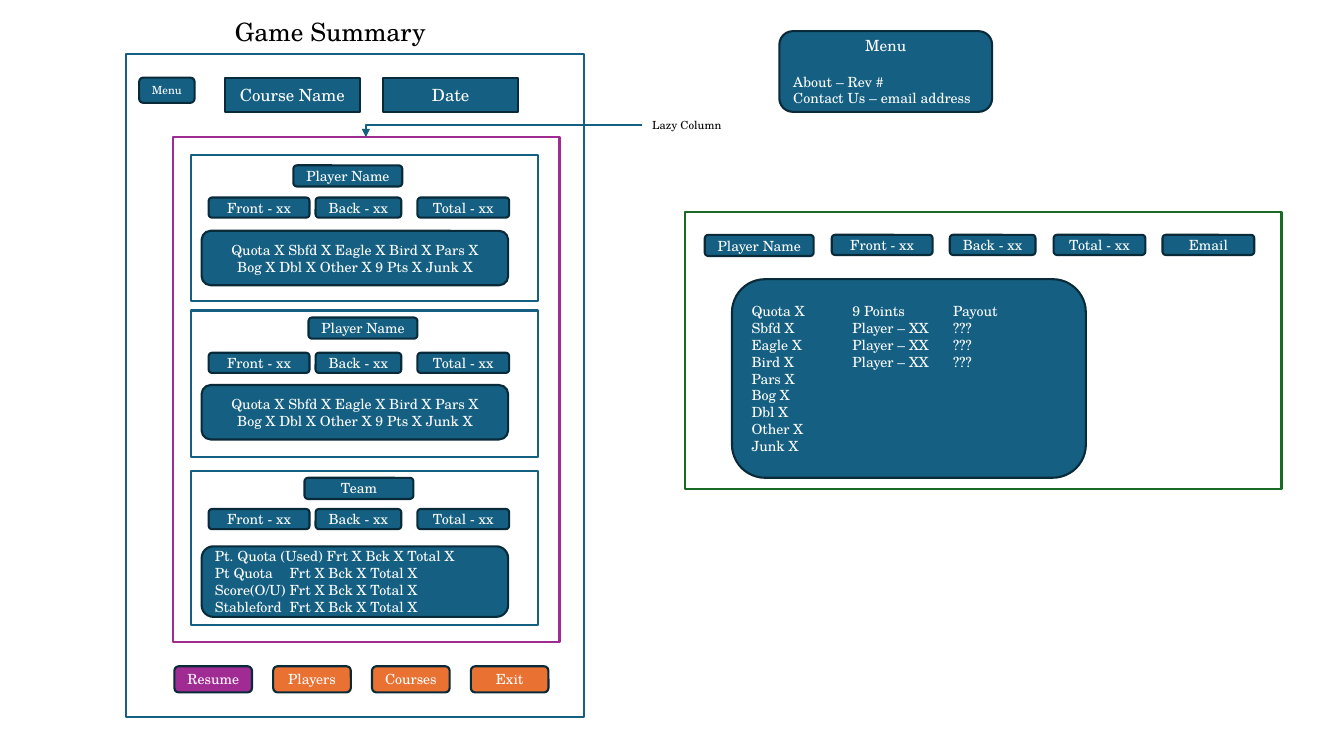
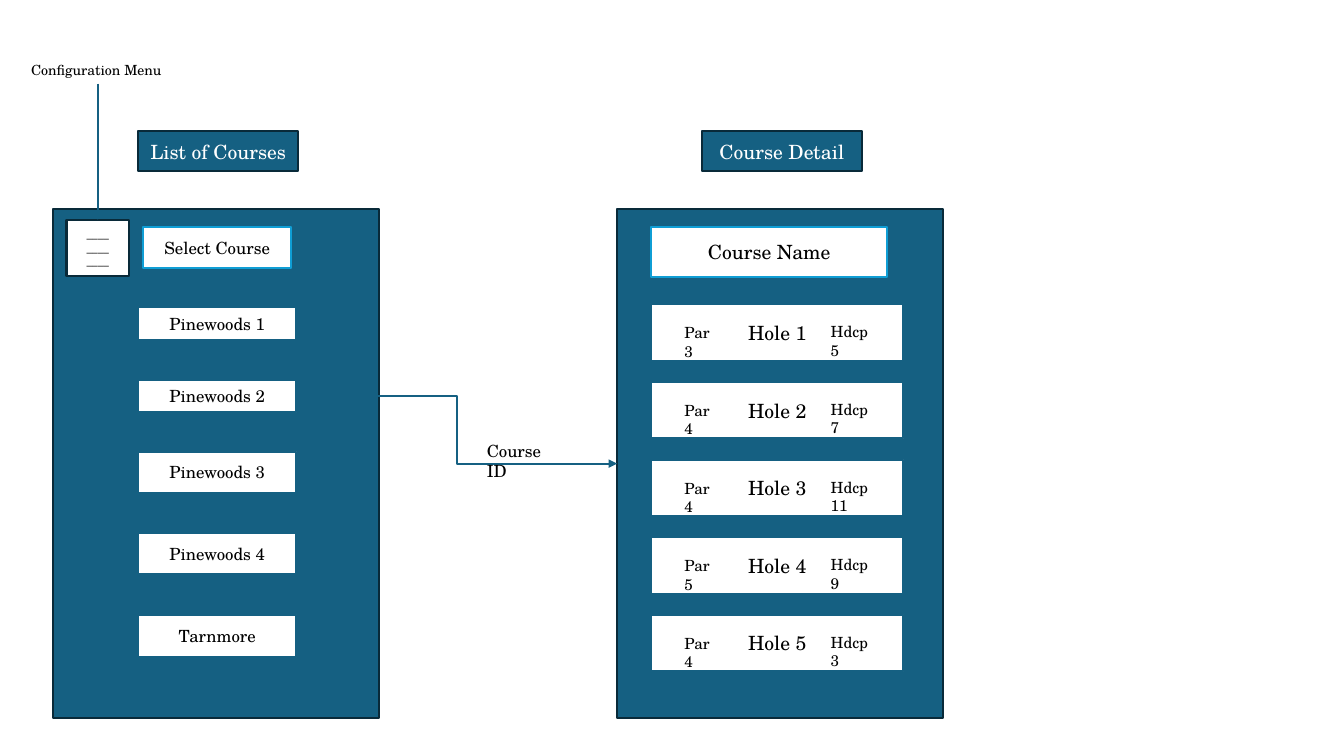
import pptx
import pptx.dml.color
import pptx.enum.shapes
import pptx.enum.text
import pptx.oxml.ns
import pptx.oxml.xmlchemy
import pptx.util
from lxml import etree

Inches = pptx.util.Inches
Pt = pptx.util.Pt
RGBColor = pptx.dml.color.RGBColor
SHAPE = pptx.enum.shapes.MSO_SHAPE
CONNECTOR = pptx.enum.shapes.MSO_CONNECTOR
ALIGN = pptx.enum.text.PP_ALIGN
ANCHOR = pptx.enum.text.MSO_ANCHOR
qn = pptx.oxml.ns.qn

FONT = "TeX Gyre Schola"
TEAL = RGBColor(0x15, 0x60, 0x82)
DARK_TEAL = RGBColor(0x09, 0x2A, 0x39)
SKY = RGBColor(0x0F, 0x9E, 0xD5)
PURPLE = RGBColor(0xA0, 0x2B, 0x93)
ORANGE = RGBColor(0xE9, 0x71, 0x32)
GREEN = RGBColor(0x19, 0x6B, 0x24)
WHITE = RGBColor(0xFF, 0xFF, 0xFF)
BLACK = RGBColor(0x00, 0x00, 0x00)
LINE_WIDTH = Pt(1.5)

PLAYER_STATS = ("Quota X Sbfd X Eagle X Bird X Pars X\n"
                "Bog X Dbl X Other X 9 Pts X Junk X")
TEAM_STATS = ("Pt. Quota (Used) Frt X Bck X Total X\n"
              "Pt Quota\tFrt X Bck X Total X\n"
              "Score(O/U)\tFrt X Bck X Total X\n"
              "Stableford\tFrt X Bck X Total X")
DETAIL_STATS = ("Quota X\t9 Points\tPayout\n"
                "Sbfd X\tPlayer – XX\t???\n"
                "Eagle X\tPlayer – XX\t???\n"
                "Bird X\tPlayer – XX\t???\n"
                "Pars X\nBog X\nDbl X\nOther X\nJunk X")
MENU_TEXT = "Menu\nAbout – Rev #\nContact Us – email address"

# top, height, name
COURSES = [
    (3.05, 0.32, "Pinewoods 1"),
    (3.77, 0.32, "Pinewoods 2"),
    (4.48, 0.41, "Pinewoods 3"),
    (5.29, 0.41, "Pinewoods 4"),
    (6.10, 0.42, "Tarnmore"),
]
# par, handicap
HOLES = [(3, 5), (4, 7), (4, 11), (5, 9), (4, 3)]


def set_tabs(paragraph, stops):
    properties = paragraph._p.get_or_add_pPr()
    tab_list = etree.SubElement(properties, qn("a:tabLst"))
    for stop in stops:
        etree.SubElement(tab_list, qn("a:tab"), pos=str(Inches(stop)), algn="l")


def write(text_frame, text, size, color, align, tabs=()):
    text_frame.text = text
    for paragraph in text_frame.paragraphs:
        if tabs:
            set_tabs(paragraph, tabs)
        paragraph.alignment = align
        for run in paragraph.runs:
            run.font.name = FONT
            run.font.size = Pt(size)
            run.font.color.rgb = color


def add_box(slide, left, top, width, height, text="", size=10, fill=TEAL, line=DARK_TEAL,
            color=WHITE, kind=SHAPE.RECTANGLE, align=ALIGN.CENTER, tabs=()):
    shape = slide.shapes.add_shape(kind, Inches(left), Inches(top), Inches(width), Inches(height))
    shape.shadow.inherit = False
    shape.fill.solid()
    shape.fill.fore_color.rgb = fill
    shape.line.color.rgb = line
    shape.line.width = LINE_WIDTH
    if text:
        shape.text_frame.vertical_anchor = ANCHOR.MIDDLE
        write(shape.text_frame, text, size, color, align, tabs)
    return shape


def add_pill(slide, *place_and_text, **style):
    return add_box(slide, *place_and_text, kind=SHAPE.ROUNDED_RECTANGLE, **style)


def add_frame(slide, left, top, width, height, line):
    return add_box(slide, left, top, width, height, fill=WHITE, line=line)


def add_field(slide, left, top, width, height, text, size=12, line=TEAL):
    """White box with black text."""
    return add_box(slide, left, top, width, height, text, size, fill=WHITE, line=line, color=BLACK)


def add_label(slide, left, top, width, height, text, size, wrap=False):
    box = slide.shapes.add_textbox(Inches(left), Inches(top), Inches(width), Inches(height))
    box.text_frame.word_wrap = wrap
    write(box.text_frame, text, size, BLACK, ALIGN.LEFT)


def add_arrow(slide, start, end, kind=CONNECTOR.ELBOW, single_bend=False):
    connector = slide.shapes.add_connector(kind, *map(Inches, start + end))
    connector.line.color.rgb = TEAL
    connector.line.width = LINE_WIDTH
    properties = connector._element.spPr
    etree.SubElement(properties.find(qn("a:ln")), qn("a:tailEnd"), type="triangle")
    etree.SubElement(properties, qn("a:effectLst"))
    if single_bend:
        properties.find(qn("a:prstGeom")).set("prst", "bentConnector2")


def add_scores(slide, top, front_left, back_left, total_left):
    add_pill(slide, front_left, top, 1, 0.2, "Front - xx")
    add_pill(slide, back_left, top, 0.85, 0.2, "Back - xx")
    add_pill(slide, total_left, top, 0.91, 0.2, "Total - xx")


def add_card(slide, top, height, name, name_left, name_top, scores_top):
    """Framed name and scores of one player or team."""
    add_frame(slide, 1.89, top, 3.45, height, TEAL)
    add_pill(slide, name_left, name_top, 1.08, 0.21, name)
    add_scores(slide, scores_top, 2.07, 3.13, 4.14)


def add_menu_popup(slide):
    menu = add_pill(slide, 7.73, 0.31, 2.11, 0.8, MENU_TEXT, align=ALIGN.LEFT)
    heading, first_entry = menu.text_frame.paragraphs[:2]
    heading.alignment = ALIGN.CENTER
    heading.runs[0].font.size = Pt(11)
    first_entry.space_before = Pt(13)


def add_player_detail(slide):
    add_frame(slide, 6.79, 2.1, 5.92, 2.75, GREEN)
    add_pill(slide, 6.99, 2.33, 1.08, 0.21, "Player Name")
    add_scores(slide, 2.33, 8.25, 9.42, 10.45)
    add_pill(slide, 11.53, 2.33, 0.91, 0.2, "Email")
    add_pill(slide, 7.26, 2.77, 3.51, 1.97, DETAIL_STATS, align=ALIGN.LEFT, tabs=(1, 2))


def build_game_summary(slide):
    add_frame(slide, 1.25, 0.54, 4.54, 6.57, TEAL)
    add_frame(slide, 1.72, 1.36, 3.83, 5.01, PURPLE)
    add_label(slide, 2.23, 0.11, 2.11, 0.4, "Game Summary", 18)
    add_pill(slide, 1.38, 0.77, 0.55, 0.25, "Menu", size=8)
    for left, text in ((2.23, "Course Name"), (3.8, "Date")):
        add_box(slide, left, 0.77, 1.34, 0.34, text, 12)

    add_card(slide, 1.54, 1.45, "Player Name", 2.91, 1.64, 1.96)
    add_card(slide, 3.08, 1.45, "Player Name", 3.06, 3.15, 3.5)
    add_card(slide, 4.67, 1.53, "Team", 3.02, 4.74, 5.05)
    for top in (2.29, 3.82):
        add_pill(slide, 2, top, 3.04, 0.54, PLAYER_STATS)
    add_pill(slide, 2, 5.42, 3.04, 0.7, TEAM_STATS, align=ALIGN.LEFT, tabs=(0.74,))

    for index, text in enumerate(("Resume", "Players", "Courses", "Exit")):
        fill = ORANGE if index else PURPLE
        add_pill(slide, 1.73 + 0.98 * index, 6.61, 0.77, 0.26, text, fill=fill)

    add_label(slide, 6.37, 1.12, 0.89, 0.24, "Lazy Column", 8)
    add_arrow(slide, (6.37, 1.24), (3.63, 1.36), single_bend=True)
    add_player_detail(slide)
    add_menu_popup(slide)


def add_screen(slide, left, heading):
    add_box(slide, left, 2.07, 3.23, 5.05)
    add_box(slide, left + 0.84, 1.3, 1.59, 0.4, heading, 14)


def build_courses(slide):
    add_screen(slide, 0.53, "List of Courses")
    add_field(slide, 1.42, 2.25, 1.47, 0.41, "Select Course", line=SKY)
    for top, height, name in COURSES:
        add_field(slide, 1.37, top, 1.57, height, name)

    add_screen(slide, 6.12, "Course Detail")
    add_field(slide, 6.46, 2.25, 2.34, 0.5, "Course Name", 14, SKY)
    for index, (par, handicap) in enumerate(HOLES):
        top = 3.02 + 0.77 * index
        add_field(slide, 6.46, top, 2.5, 0.56, f"Hole {index + 1}", 14)
        add_label(slide, 6.69, top + 0.14, 0.54, 0.29, f"Par {par}", 11, wrap=True)
        add_label(slide, 8.14, top + 0.13, 0.68, 0.29, f"Hdcp {handicap}", 11, wrap=True)

    add_arrow(slide, (2.94, 3.93), (6.12, 4.6))
    add_label(slide, 4.73, 4.32, 0.93, 0.3, "Course ID", 12, wrap=True)
    add_field(slide, 0.66, 2.18, 0.62, 0.56, "____\n____\n____", 8, DARK_TEAL)
    add_label(slide, 0.21, 0.56, 1.52, 0.27, "Configuration Menu", 10)
    add_arrow(slide, (0.97, 0.83), (0.97, 2.18), CONNECTOR.STRAIGHT)


def main():
    presentation = pptx.Presentation()
    presentation.slide_width = Inches(13.33)
    presentation.slide_height = Inches(7.5)
    blank = presentation.slide_layouts[6]
    for build in (build_game_summary, build_courses):
        build(presentation.slides.add_slide(blank))
    presentation.save("out.pptx")


if __name__ == "__main__":
    main()
